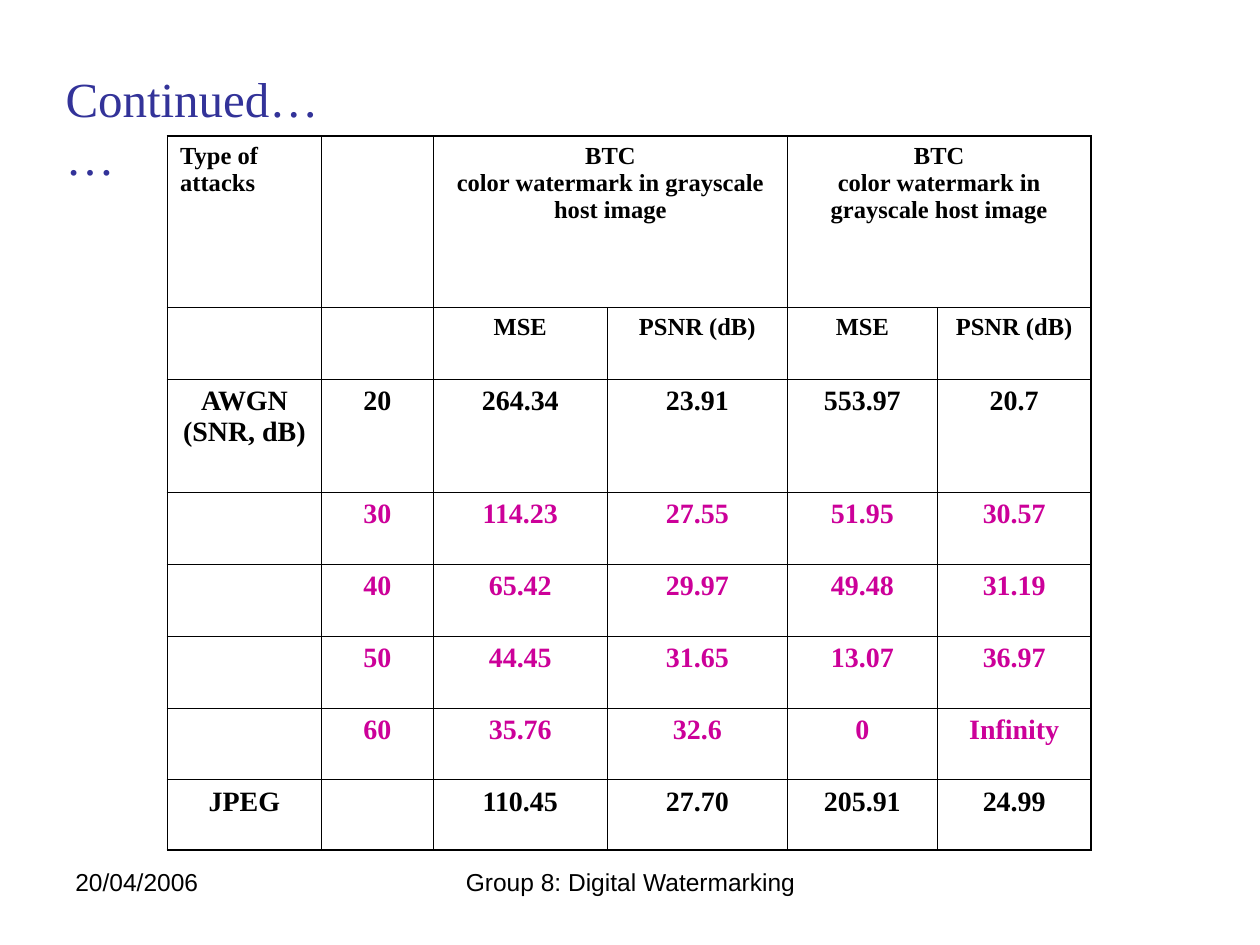
from dataclasses import dataclass

from lxml import etree
from pptx import Presentation
from pptx import util as u
from pptx.dml.color import RGBColor
from pptx.enum import text
from pptx.oxml.ns import qn

COLORS = {"black": "000000", "title": "333399", "accent": "CC0099"}
SERIF, SANS = "Times New Roman", "Arial"
CENTER, LEFT = text.PP_ALIGN.CENTER, text.PP_ALIGN.LEFT


@dataclass
class Row:
    height: float
    values: list[str]
    size: int = 16
    color: str = "black"


@dataclass
class Footer:
    text: str
    left: float
    width: float
    align: text.PP_ALIGN


HEADING = "BTC\ncolor watermark in grayscale host image"
COL_WIDTHS = [1.22, 0.89, 1.38, 1.43, 1.19, 1.22]
ROWS = [
    Row(1.36, ["Type of attacks", "", HEADING, "", HEADING, ""], 14),
    Row(0.57, ["", "", "MSE", "PSNR (dB)", "MSE", "PSNR (dB)"], 14),
    Row(0.9, ["AWGN (SNR, dB)", "20", "264.34", "23.91", "553.97", "20.7"]),
    Row(0.57, ["", "30", "114.23", "27.55", "51.95", "30.57"], color="accent"),
    Row(0.57, ["", "40", "65.42", "29.97", "49.48", "31.19"], color="accent"),
    Row(0.57, ["", "50", "44.45", "31.65", "13.07", "36.97"], color="accent"),
    Row(0.57, ["", "60", "35.76", "32.6", "0", "Infinity"], color="accent"),
    Row(0.56, ["JPEG", "", "110.45", "27.70", "205.91", "24.99"]),
]
FOOTERS = [
    Footer("Group 8: Digital Watermarking", 3.42, 3.17, CENTER),
    Footer("20/04/2006", 0.5, 2.33, LEFT),
]


def format_text(tf, font: str, size: int, color: str, align, bold: bool = False) -> None:
    for p in tf.paragraphs:
        p.alignment = align
        for r in p.runs:
            r.font.name = font
            r.font.size = u.Pt(size)
            r.font.bold = bold
            r.font.color.rgb = RGBColor.from_string(COLORS[color])


def set_borders(cell, outer: dict[str, bool]) -> None:
    tc_pr = cell._tc.get_or_add_tcPr()
    for side, is_outer in outer.items():
        width = u.Pt(1.08 if is_outer else 0.45)
        ln = etree.SubElement(tc_pr, qn(f"a:ln{side}"), w=str(width))
        fill = etree.SubElement(ln, qn("a:solidFill"))
        etree.SubElement(fill, qn("a:srgbClr"), val=COLORS["black"])


def add_results(s) -> None:
    frame = s.shapes.add_table(
        len(ROWS), len(COL_WIDTHS), u.Inches(1.33), u.Inches(1.08),
        u.Inches(sum(COL_WIDTHS)), u.Inches(sum(row.height for row in ROWS)))
    table = frame.table
    table.first_row = table.horz_banding = False
    for column, width in zip(table.columns, COL_WIDTHS):
        column.width = u.Inches(width)
    for c in (2, 4):
        table.cell(0, c).merge(table.cell(0, c + 1))
    for i, row in enumerate(ROWS):
        table.rows[i].height = u.Inches(row.height)
        for c, value in enumerate(row.values):
            cell = table.cell(i, c)
            last = c + (cell.span_width if cell.is_merge_origin else 1)
            set_borders(cell, {"L": c == 0, "R": last == len(COL_WIDTHS),
                               "T": i == 0, "B": i == len(ROWS) - 1})
            cell.fill.background()
            if value:
                cell.text_frame.text = value
                align = LEFT if (i, c) == (0, 0) else CENTER
                format_text(cell.text_frame, SERIF, row.size, row.color, align, True)


def add_title(s) -> None:
    sp = s.shapes.title
    sp.left, sp.top = u.Inches(0.42), u.Inches(0.49)
    sp.width, sp.height = u.Inches(2.59), u.Inches(0.57)
    tf = sp.text_frame
    tf.text = "Continued……"
    tf.word_wrap = False
    tf.auto_size = text.MSO_AUTO_SIZE.SHAPE_TO_FIT_TEXT
    tf.vertical_anchor = text.MSO_ANCHOR.TOP
    format_text(tf, SERIF, 28, "title", LEFT)


def add_footer(s, footer: Footer) -> None:
    sp = s.shapes.add_textbox(u.Inches(footer.left), u.Inches(6.83),
                              u.Inches(footer.width), u.Inches(0.52))
    tf = sp.text_frame
    tf.word_wrap = True
    tf.text = footer.text
    format_text(tf, SANS, 14, "black", footer.align)


def main() -> None:
    prs = Presentation()
    prs.slide_width, prs.slide_height = u.Inches(10), u.Inches(7.5)
    s = prs.slides.add_slide(prs.slide_layouts[5])
    add_title(s)
    add_results(s)
    for footer in FOOTERS:
        add_footer(s, footer)
    prs.save("out.pptx")


if __name__ == "__main__":
    main()
